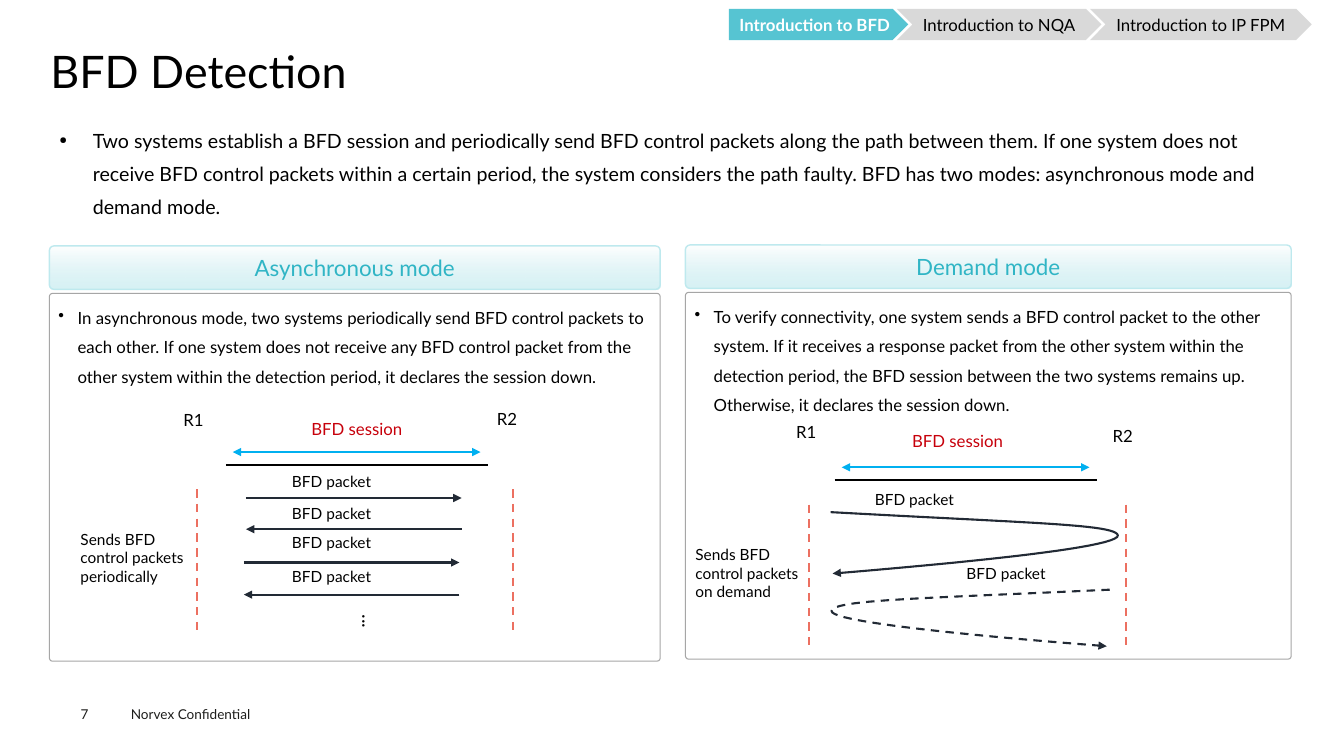
from lxml.etree import SubElement
from pptx import Presentation
from pptx.dml.color import RGBColor
from pptx.enum.dml import MSO_LINE
from pptx.enum.shapes import MSO_CONNECTOR, MSO_SHAPE as Preset
from pptx.enum.text import MSO_ANCHOR as Anchor, MSO_AUTO_SIZE as AutoSize, PP_ALIGN as Align
from pptx.oxml.ns import qn
from pptx.util import Pt

BLACK = RGBColor(0x00, 0x00, 0x00)
WHITE = RGBColor(0xFF, 0xFF, 0xFF)
FOOTER = RGBColor(0x1D, 0x1D, 0x1B)
TEAL = RGBColor(0x56, 0xC4, 0xD2)
TEAL_TEXT = RGBColor(0x30, 0xB5, 0xC5)
PALE_TEAL = RGBColor(0xBE, 0xE9, 0xEE)
TAB_GRAY = RGBColor(0xD9, 0xD9, 0xD9)
BORDER_GRAY = RGBColor(0xA6, 0xA6, 0xA6)
SESSION_BLUE = RGBColor(0x00, 0xB0, 0xF0)
SESSION_RED = RGBColor(0xC7, 0x00, 0x0B)
NAVY = RGBColor(0x22, 0x2A, 0x35)
RAIL_RED = RGBColor(0xEC, 0x70, 0x61)


def write(shape, text, size, color=BLACK, align=Align.LEFT, anchor=Anchor.TOP,
          insets=(0, 0), bold=False):
    """Fill a shape with one formatted paragraph and return the paragraph."""
    frame = shape.text_frame
    frame.text = text
    frame.word_wrap = True
    frame.vertical_anchor = anchor
    frame.margin_left = frame.margin_right = Pt(insets[0])
    frame.margin_top = frame.margin_bottom = Pt(insets[1])
    paragraph = frame.paragraphs[0]
    paragraph.alignment = align
    for run in paragraph.runs:
        run.font.name = "Lato"
        run.font.size = Pt(size)
        run.font.bold = bold
        run.font.color.rgb = color
    return paragraph


def add_text(slide, left, top, width, height, text, size, **options):
    """Add a text box and return its paragraph."""
    box = slide.shapes.add_textbox(Pt(left), Pt(top), Pt(width), Pt(height))
    return write(box, text, size, **options)


def add_label(slide, left, top, width, height, text, size, wrap=False, vertical=False, **options):
    """Add a diagram label that grows with its text."""
    box = slide.shapes.add_textbox(Pt(left), Pt(top), Pt(width), Pt(height))
    write(box, text, size, insets=(7.2, 3.6), **options)
    box.text_frame.word_wrap = wrap
    box.text_frame.auto_size = AutoSize.SHAPE_TO_FIT_TEXT
    if vertical:
        box.text_frame._txBody.bodyPr.set("vert", "eaVert")


def add_bullet(paragraph, character, indent, percent=100):
    """Give a paragraph a hanging bullet."""
    properties = paragraph._p.get_or_add_pPr()
    properties.set("marL", str(Pt(indent)))
    properties.set("indent", str(-Pt(indent)))
    SubElement(properties, qn("a:buSzPct"), val=str(percent * 1000))
    SubElement(properties, qn("a:buChar"), char=character)


def add_preset(slide, kind, left, top, width, height, fill=None):
    """Add a flat preset shape without outline."""
    shape = slide.shapes.add_shape(kind, Pt(left), Pt(top), Pt(width), Pt(height))
    shape.shadow.inherit = False
    shape.line.fill.background()
    if fill is None:
        shape.fill.background()
    else:
        shape.fill.solid()
        shape.fill.fore_color.rgb = fill
    return shape


def style_line(shape, color, ends=(), dashed=False):
    """Set stroke, dash and arrowheads of a connector or curve."""
    shape.line.color.rgb = color
    shape.line.width = Pt(1.5)
    if dashed:
        shape.line.dash_style = MSO_LINE.DASH
    outline = shape._element.spPr.find(qn("a:ln"))
    for end in ends:
        SubElement(outline, qn(f"a:{end}"), type="triangle")
    SubElement(shape._element.spPr, qn("a:effectLst"))


def add_line(slide, x1, y1, x2, y2, color, **options):
    """Add a straight connector."""
    line = slide.shapes.add_connector(MSO_CONNECTOR.STRAIGHT, Pt(x1), Pt(y1), Pt(x2), Pt(y2))
    style_line(line, color, **options)


def bezier(controls, steps=24):
    """Return points along a cubic curve, leaving out its start."""
    points = []
    for step in range(1, steps + 1):
        t = step / steps
        weights = ((1 - t) ** 3, 3 * t * (1 - t) ** 2, 3 * t * t * (1 - t), t ** 3)
        points.append(tuple(sum(w * c[axis] for w, c in zip(weights, controls)) for axis in (0, 1)))
    return points


def add_packet_curve(slide, left, top, controls, dashed=False):
    """Draw two joined cubic curves ending in an arrowhead."""
    points = bezier(controls[:4]) + bezier(controls[3:])
    start, *rest = [(Pt(left + x), Pt(top + y)) for x, y in [controls[0]] + points]
    builder = slide.shapes.build_freeform(*start)
    builder.add_line_segments(rest, close=False)
    curve = builder.convert_to_shape()
    curve.fill.background()
    style_line(curve, NAVY, ends=("tailEnd",), dashed=dashed)


def add_tabs(slide, left, top, height):
    """Draw the chapter trail with the current chapter highlighted."""
    tabs = [("BFD", 128.2), ("NQA", 146.2), ("IP FPM", 158.4)]
    for index, (topic, width) in enumerate(tabs):
        current = index == 0
        kind, fill, color = (Preset.PENTAGON, TEAL, WHITE) if current else (Preset.CHEVRON, TAB_GRAY, BLACK)
        tab = add_preset(slide, kind, left, top, width, height, fill)
        write(tab, f"Introduction to {topic}", 12, color, Align.CENTER, Anchor.MIDDLE, bold=current)
        left += width - 8.2


def add_panel(slide, left, top, width, height, heading, text):
    """Draw a mode panel: gradient heading above an outlined body."""
    header = add_preset(slide, Preset.ROUNDED_RECTANGLE, left, top, width, 31)
    header.adjustments[0] = 0.106
    header.fill.gradient()
    header.fill.gradient_angle = 270
    for stop, color in zip(header.fill.gradient_stops, (WHITE, PALE_TEAL)):
        stop.color.rgb = color
    gradient = header._element.spPr.find(qn("a:gradFill"))
    SubElement(gradient.findall(f".//{qn('a:srgbClr')}")[-1], qn("a:alpha"), val="60000")
    header.line.color.rgb = PALE_TEAL
    header.line.width = Pt(1)
    write(header, heading, 16, TEAL_TEXT, Align.CENTER, Anchor.MIDDLE)

    body = add_preset(slide, Preset.ROUNDED_RECTANGLE, left, top + 33.8, width, height - 33.8)
    body.adjustments[0] = 0.009
    body.line.color.rgb = BORDER_GRAY
    body.line.width = Pt(0.75)
    paragraph = write(body, text, 12, insets=(5.8, 2.9))
    paragraph.line_spacing = Pt(21)
    paragraph.space_after = Pt(6)
    add_bullet(paragraph, "•", 13.7)


def add_session(slide, left, top, rail, r1, r2, caption):
    """Draw the session link, its labels and the two router timelines."""
    add_line(slide, left, top, left + 187.2, top, BLACK)
    add_line(slide, left + 5, top - 9, left + 182, top - 9, SESSION_BLUE, ends=("headEnd", "tailEnd"))
    for x in (left + rail, left + rail + 226):
        add_line(slide, x, top + 17.6, x, top + 121.7, RAIL_RED, dashed=True)
    for text, (x, y), width, color in (("R1", r1, 28.8, BLACK), ("R2", r2, 28.8, BLACK),
                                       ("BFD session", caption, 80, SESSION_RED)):
        add_label(slide, left + x, top + y, width, 21.8, text, 12, color=color)


def add_asynchronous_mode(slide, left, top, width, height):
    """Draw the asynchronous mode panel with its periodic packets."""
    add_panel(slide, left, top, width, height, "Asynchronous mode",
              "In asynchronous mode, two systems periodically send BFD control packets to each other. "
              "If one system does not receive any BFD control packet from the other system within the "
              "detection period, it declares the session down.")
    add_session(slide, left + 126, top + 156.2, -20.9, (-37.4, -42.5), (186.5, -43.2), (54, -36.7))
    packets = [(140.4, 180, 157.7), (140.4, 202.3, 180.7), (138.9, 226.1, 201.6), (138.9, 249.1, 226.1)]
    for index, (x, y, label_y) in enumerate(packets):
        start, end = (x, x + 154) if index % 2 == 0 else (x + 154, x)
        add_line(slide, left + start, top + y, left + end, top + y, NAVY, ends=("tailEnd",))
        add_label(slide, left + 165.6, top + label_y, 72, 20.9, "BFD packet", 11, align=Align.CENTER)
    add_label(slide, left + 209.5, top + 256.3, 31.7, 17.3, "...", 14, vertical=True)
    add_label(slide, left + 15.1, top + 199.4, 102.2, 47.5, "Sends BFD control packets periodically", 11, wrap=True)


def add_demand_mode(slide, left, top, width, height):
    """Draw the demand mode panel with its request and response."""
    add_panel(slide, left, top, width, height, "Demand mode",
              "To verify connectivity, one system sends a BFD control packet to the other system. If it "
              "receives a response packet from the other system within the detection period, the BFD "
              "session between the two systems remains up. Otherwise, it declares the session down.")
    add_session(slide, left + 106.6, top + 167.8, -18, (-34.6, -45.4), (191.5, -42.5), (48.2, -38.9))
    request = [(103.7, 190.8), (246.2, 198.7), (307.4, 199.4), (308.9, 207.4),
               (309.6, 216.7), (182.9, 228.2), (105.1, 234.7)]
    response = [(303.1, 246.2), (164.9, 252.7), (105.8, 253.4), (104.4, 261.4),
                (103.7, 270), (226.1, 280.8), (301, 286.6)]
    add_packet_curve(slide, left, top, request)
    add_packet_curve(slide, left, top, response, dashed=True)
    for x, y in ((128.2, 171.4), (193.7, 224.6)):
        add_label(slide, left + x, top + y, 72, 20.9, "BFD packet", 11)
    add_label(slide, left, top + 211, 90.7, 47.5, "Sends BFD control packets on demand", 11, wrap=True)


def add_introduction(slide, left, top, width):
    """Write the title and the opening bullet."""
    add_text(slide, left, top, width, 38.9, "BFD Detection", 32).line_spacing = 0.9
    paragraph = add_text(
        slide, left, top + 47.5, width, 80,
        "Two systems establish a BFD session and periodically send BFD control packets along the path "
        "between them. If one system does not receive BFD control packets within a certain period, the "
        "system considers the path faulty. BFD has two modes: asynchronous mode and demand mode.",
        14, insets=(6.5, 2.9))
    paragraph.line_spacing = 1.4
    add_bullet(paragraph, "●", 23.8, 50)


def add_footer(slide, left, top):
    """Write the page number and the confidentiality mark."""
    add_text(slide, left, top + 3.6, 39.6, 11.5, "7", 9.7, color=FOOTER)
    add_text(slide, left + 28.8, top, 115.2, 19.4, "Norvex Confidential", 9.7, color=FOOTER, insets=(7.2, 3.6))


def main():
    """Build the slide and save it."""
    presentation = Presentation()
    presentation.slide_width, presentation.slide_height = Pt(960), Pt(540)
    slide = presentation.slides.add_slide(presentation.slide_layouts[6])
    add_footer(slide, 57.6, 500.4)
    add_introduction(slide, 36, 35.3, 889.2)
    add_asynchronous_mode(slide, 35.3, 175.7, 436.3, 296.6)
    add_demand_mode(slide, 489.6, 175, 432.7, 295.9)
    add_tabs(slide, 520.6, 6.3, 22.3)
    presentation.save("out.pptx")


if __name__ == "__main__":
    main()
